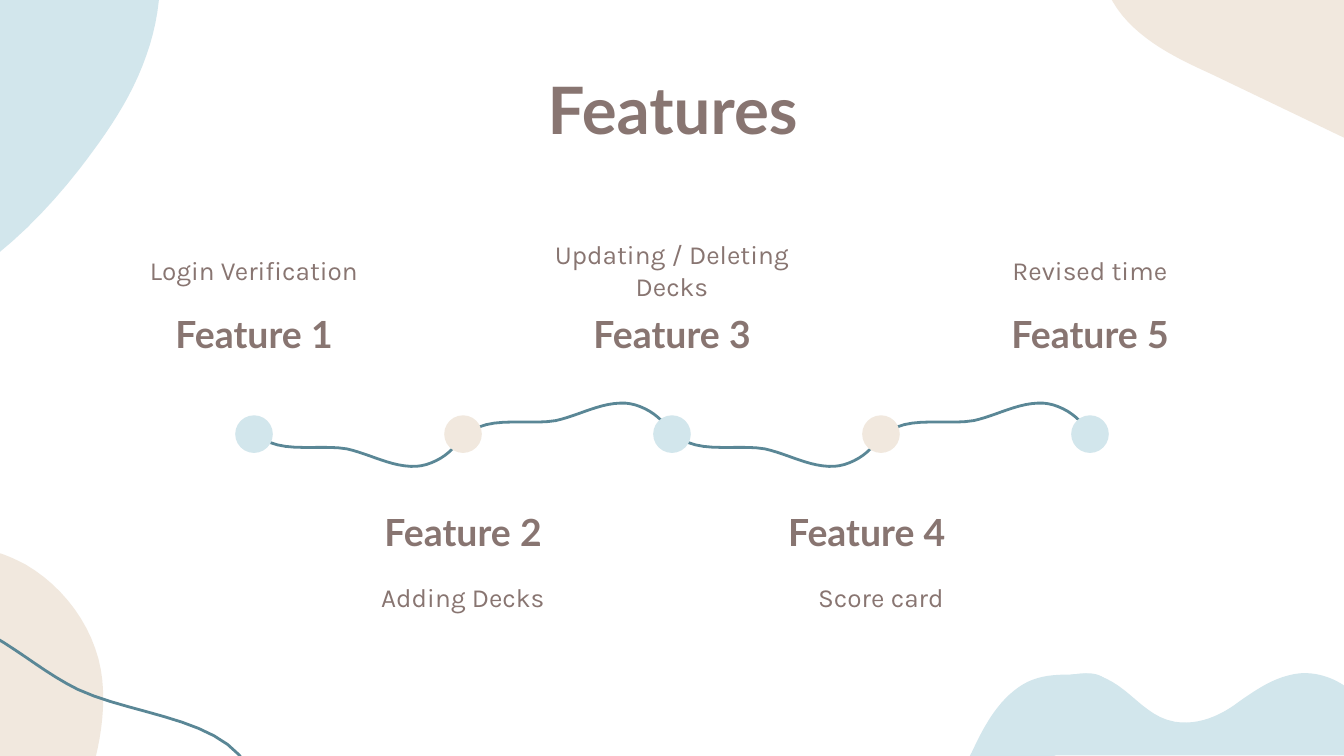
from dataclasses import dataclass

from lxml.etree import SubElement
from pptx import Presentation
from pptx.dml.color import RGBColor as RGB
from pptx.enum.shapes import MSO_SHAPE as SHAPE
from pptx.enum.text import MSO_ANCHOR as ANCHOR, MSO_AUTO_SIZE as AUTOSIZE, PP_ALIGN as ALIGN
from pptx.oxml.ns import qn
from pptx.util import Pt

PX = 9144
STEPS = 12


@dataclass(frozen=True)
class Theme:
    text: RGB = RGB(0x88, 0x75, 0x71)
    blue: RGB = RGB(0xD2, 0xE6, 0xEC)
    sand: RGB = RGB(0xF1, 0xE8, 0xDE)
    line: RGB = RGB(0x5A, 0x87, 0x96)
    white: RGB = RGB(0xFF, 0xFF, 0xFF)
    heading_font: str = "Lato"
    body_font: str = "Karla"
    title_size: int = 35
    label_size: int = 20
    body_size: int = 14
    line_width: float = 1.5


THEME = Theme()

FEATURES = [
    ("Feature 1", "Login Verification"),
    ("Feature 2", "Adding Decks"),
    ("Feature 3", "Updating / Deleting Decks"),
    ("Feature 4", "Score card"),
    ("Feature 5", "Revised time"),
]

SAND_LEFT = [
    (-110, 436), (-81, 409, -37, 400, 1, 412), (7, 414, 13, 417, 19, 420),
    (48, 437, 69, 466, 75, 498), (80, 527, 74, 557, 65, 586),
    (55, 616, 41, 646, 17, 667), (-28, 708, -100, 706, -153, 677),
    (-241, 621), (-349, 579), (-381, 537), (-378, 483), (-310, 459), (-165, 487),
]
BLUE_LEFT = [
    (-72, -128), (-39, -111, 5, -129, 43, -121), (50, -119, 56, -117, 63, -114),
    (86, -102, 103, -80, 112, -56), (123, -25, 120, 10, 109, 41),
    (98, 73, 79, 100, 59, 126), (23, 172, -22, 213, -77, 231),
    (-119, 244, -162, 241, -197, 224), (-293, 119), (-435, 40), (-417, -79),
    (-298, -124), (-276, -182), (-156, -224),
]
SAND_RIGHT = [
    (872, -80), (851, -80, 831, -76, 822, -51), (813, -28, 822, -2, 839, 16),
    (856, 34, 879, 45, 901, 55), (1024, 114), (1035, 119, 1048, 124, 1060, 124),
    (1068, 124, 1076, 121, 1081, 114), (1093, 100, 1085, 79, 1077, 63),
    (1058, 25, 1039, -13, 1008, -42), (975, -74, 942, -78, 899, -79),
]
BLUE_WAVE = [
    (1000, 562), (761, 562), (765, 549, 760, 533, 768, 521),
    (777, 507, 799, 497, 818, 503), (840, 510, 851, 533, 874, 537),
    (892, 540, 909, 532, 922, 522), (935, 513, 949, 503, 967, 501),
    (979, 500, 991, 504, 1000, 510),
]
BLUE_HILL = [
    (808, 501), (816, 501, 824, 503, 828, 513), (832, 522, 828, 533, 821, 541),
    (814, 548, 805, 553, 796, 557), (745, 581), (740, 583, 735, 585, 730, 585),
    (726, 585, 723, 584, 721, 581), (716, 576, 719, 567, 723, 560),
    (730, 545, 738, 529, 751, 517), (765, 504, 778, 502, 796, 502),
]
CORNER_LINE = [
    (-121, 490), (-107, 464, -67, 454, -38, 460),
    (-2, 468, 25, 497, 58, 513), (103, 534, 176, 534, 189, 582),
]
WAVE = [
    (157, 3), (153, 18, 136, 29, 122, 30),
    (104, 31, 88, 21, 70, 17), (47, 13, 12, 23, 0, 1),
]


def trace(parts):
    points = [parts[0]]
    for part in parts[1:]:
        if len(part) == 2:
            points.append(part)
            continue
        knots = [points[-1], part[:2], part[2:4], part[4:]]
        for step in range(1, STEPS + 1):
            t = step / STEPS
            weights = ((1 - t) ** 3, 3 * t * (1 - t) ** 2, 3 * t * t * (1 - t), t ** 3)
            points.append(tuple(sum(w * k[axis] for w, k in zip(weights, knots)) for axis in (0, 1)))
    return points


def add_outline(slide, left, top, parts, fill=None, flip=1):
    points = [(round((left + x) * PX), round((top + flip * y) * PX)) for x, y in trace(parts)]
    builder = slide.shapes.build_freeform(*points[0])
    builder.add_line_segments(points[1:], close=fill is not None)
    s = builder.convert_to_shape()
    s.shadow.inherit = False
    if fill is not None:
        s.fill.solid()
        s.fill.fore_color.rgb = fill
        s.line.fill.background()
    else:
        s.fill.background()
        s.line.color.rgb = THEME.line
        s.line.width = Pt(THEME.line_width)


def place(s, left, top, width, height):
    s.left, s.top, s.width, s.height = (round(v * PX) for v in (left, top, width, height))


def format_text(tf, text, size, font, bold=False, align=ALIGN.CENTER, after=0):
    tf.text = text
    tf.word_wrap = True
    tf.auto_size = AUTOSIZE.NONE
    tf.vertical_anchor = ANCHOR.MIDDLE
    tf.margin_left = tf.margin_right = tf.margin_top = tf.margin_bottom = 10 * PX
    p = tf.paragraphs[0]
    p.alignment = align
    p.space_after = Pt(after)
    f = p.runs[0].font
    f.size, f.name, f.bold = Pt(size), font, bold
    f.color.rgb = THEME.text
    return p


def add_text(slide, box, *args, **kwargs):
    s = slide.shapes.add_textbox(0, 0, 0, 0)
    place(s, *box)
    return format_text(s.text_frame, *args, **kwargs)


def add_decoration(slide, left, top):
    for parts, fill in (
        (SAND_LEFT, THEME.sand), (BLUE_LEFT, THEME.blue), (CORNER_LINE, None),
        (SAND_RIGHT, THEME.sand), (BLUE_WAVE, THEME.blue), (BLUE_HILL, THEME.blue),
    ):
        add_outline(slide, left, top, parts, fill)


def add_title(slide, box, text):
    s = slide.shapes.title
    place(s, *box)
    format_text(s.text_frame, text, THEME.title_size, THEME.heading_font, bold=True)


def add_timeline(slide, left, top, width):
    step = width / (len(FEATURES) - 1)
    axis = top + 152
    for i in range(len(FEATURES) - 1):
        below = i % 2 == 0
        add_outline(slide, left + i * step - 1, axis + (-6 if below else 7), WAVE,
                    flip=1 if below else -1)
    for i, (label, detail) in enumerate(FEATURES):
        centre = left + i * step
        above = i % 2 == 0
        dot = slide.shapes.add_shape(SHAPE.OVAL, 0, 0, 0, 0)
        place(dot, centre - 14, axis - 14, 28, 28)
        dot.shadow.inherit = False
        dot.fill.solid()
        dot.fill.fore_color.rgb = THEME.blue if above else THEME.sand
        dot.line.fill.background()
        indented = label == "Feature 4"
        p = add_text(slide, (centre - 91, top + (59 if above else 206), 182, 37), label,
                     THEME.label_size, THEME.heading_font, bold=True,
                     align=ALIGN.LEFT if indented else ALIGN.CENTER)
        if indented:
            p._p.get_or_add_pPr().set("marL", str(12 * PX))
        add_text(slide, (centre - 125, top + (0 if above else 243), 250, 60), detail,
                 THEME.body_size, THEME.body_font, after=12)


def main():
    prs = Presentation()
    prs.slide_width, prs.slide_height = 1000 * PX, round(562.5 * PX)
    slide = prs.slides.add_slide(prs.slide_layouts[5])
    slide.background.fill.solid()
    slide.background.fill.fore_color.rgb = THEME.white
    add_decoration(slide, 0, 0)
    add_title(slide, (79, 49, 843, 63), "Features")
    add_timeline(slide, 189, 171, 622)
    prs.save("out.pptx")


if __name__ == "__main__":
    main()
